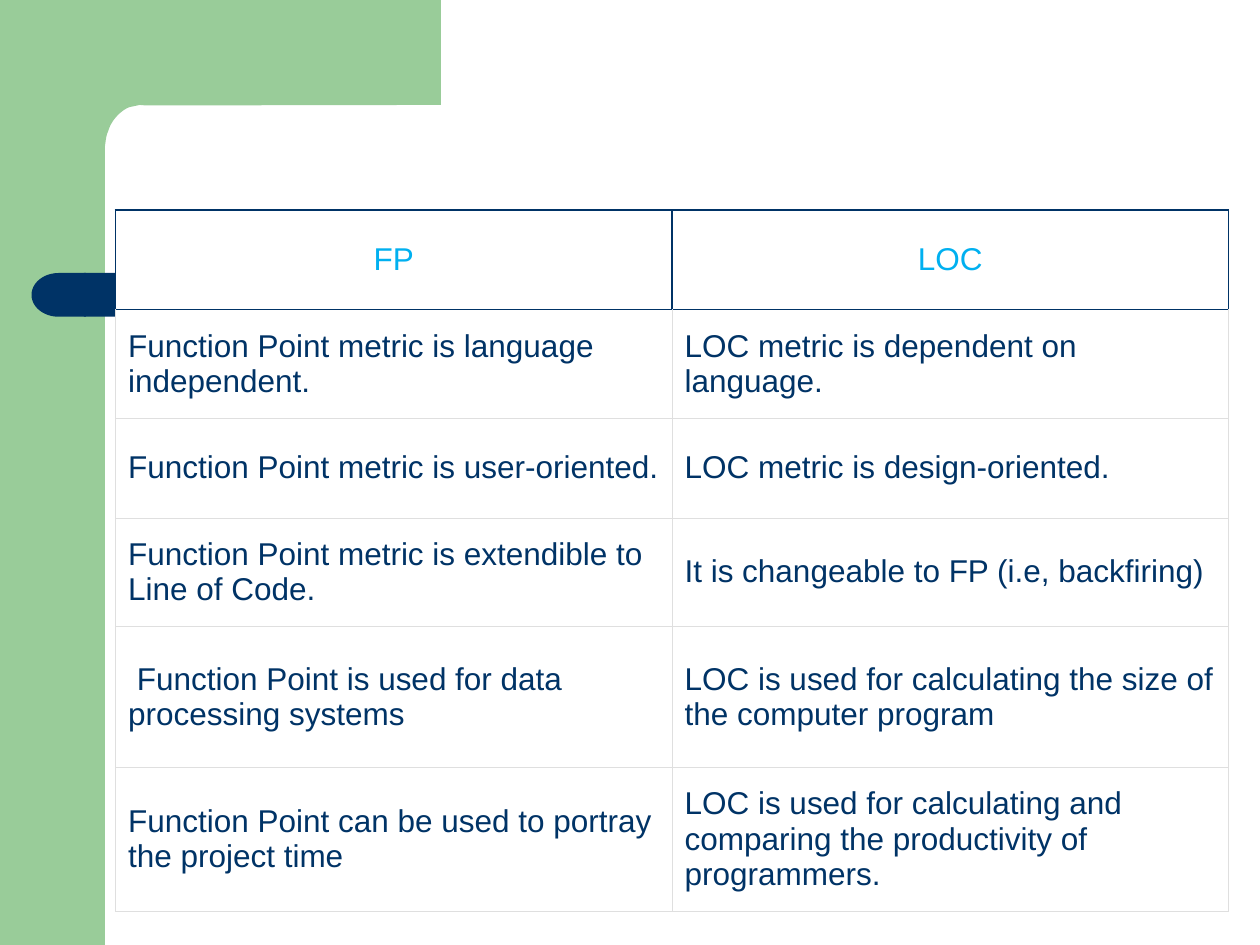
"""Build a slide comparing function points with lines of code in a table."""
from lxml.etree import SubElement
from pptx import Presentation
from pptx.dml.color import RGBColor as Rgb
from pptx.enum.shapes import MSO_SHAPE as Shape
from pptx.enum.text import MSO_ANCHOR as Anchor, PP_ALIGN as Align
from pptx.oxml.ns import qn
from pptx.util import Pt

COLORS = {"green": "99CC99", "navy": "003366", "sky": "00B0F0", "white": "FFFFFF", "grid": "DFDFDF"}
ROWS = [
    ("FP", "LOC"),
    ("Function Point metric is language independent.", "LOC metric is dependent on language."),
    ("Function Point metric is user-oriented.", "LOC metric is design-oriented."),
    ("Function Point metric is extendible to Line of Code.", "It is changeable to FP (i.e, backfiring)"),
    (" Function Point is used for data processing systems",
     "LOC is used for calculating the size of the computer program"),
    ("Function Point can be used to portray the project time",
     "LOC is used for calculating and comparing the productivity of programmers."),
]
ROW_HEIGHTS = [57, 57, 57, 57, 80.6, 80.6]
CELL_FORMAT = {"vertical_anchor": Anchor.MIDDLE, "margin_left": Pt(7.2), "margin_right": Pt(7.2),
               "margin_top": Pt(10.8), "margin_bottom": Pt(10.8)}


def paint(shape, color):
    shape.shadow.inherit = False
    shape.fill.solid()
    shape.fill.fore_color.rgb = Rgb.from_string(COLORS[color])
    shape.line.fill.background()


def add_border(cell, side, color, width):
    properties = cell._tc.get_or_add_tcPr()
    line = SubElement(properties, qn(f"a:ln{side}"), w=str(Pt(width)))
    fill = SubElement(line, qn("a:solidFill"))
    SubElement(fill, qn("a:srgbClr"), val=COLORS[color])


deck = Presentation()
deck.slide_width, deck.slide_height = Pt(720), Pt(540)
page = deck.slides.add_slide(deck.slide_layouts[6])

band = page.shapes.add_shape(Shape.RECTANGLE, 0, 0, Pt(60), Pt(540))
paint(band, "green")

curves = [
    [(74.2, 61.2), (72, 61.9), (69.1, 63.9), (67, 66.2)],
    [(67, 66.2), (64.8, 68.4), (62.6, 72), (61.9, 74.9)],
    [(61.9, 74.9), (60.5, 77.8), (60.5, 80.6), (60, 83.5)],
]
outline = [(252, 60), (83.5, 60.3), (79.9, 60), (74.2, 61.2)]
for curve in curves:
    for step in range(1, 9):
        t = step / 8
        weights = [(1 - t) ** 3, 3 * t * (1 - t) ** 2, 3 * t ** 2 * (1 - t), t ** 3]
        outline.append(tuple(sum(w * point[axis] for w, point in zip(weights, curve)) for axis in (0, 1)))
outline += [(60, 92), (36, 92), (36, 0)]
builder = page.shapes.build_freeform(25200, 0, scale=Pt(1) / 100)
builder.add_line_segments([(round(x * 100), round(y * 100)) for x, y in outline], close=True)
paint(builder.convert_to_shape(), "green")

bar = page.shapes.add_shape(Shape.ROUNDED_RECTANGLE, Pt(48), Pt(156), Pt(552), Pt(25))
bar.adjustments[0] = 0
paint(bar, "navy")
bar_end = page.shapes.add_shape(Shape.FLOWCHART_DELAY, Pt(18), Pt(156), Pt(31), Pt(25))
bar_end.rotation = 180
paint(bar_end, "navy")

table = page.shapes.add_table(len(ROWS), 2, Pt(66), Pt(120), Pt(636), Pt(sum(ROW_HEIGHTS))).table
table.first_row = table.horz_banding = False
for column in table.columns:
    column.width = Pt(318)
for row_index, (texts, height) in enumerate(zip(ROWS, ROW_HEIGHTS)):
    table.rows[row_index].height = Pt(height)
    header = row_index == 0
    for column_index, text in enumerate(texts):
        cell = table.cell(row_index, column_index)
        for name, value in CELL_FORMAT.items():
            setattr(cell, name, value)
        for side in "LRTB":
            strong = header or (row_index == 1 and side == "T")
            add_border(cell, side, *(("navy", 1) if strong else ("grid", 0.23)))
        cell.fill.solid()
        cell.fill.fore_color.rgb = Rgb.from_string(COLORS["white"])
        para = cell.text_frame.paragraphs[0]
        para.alignment = Align.CENTER if header else Align.LEFT
        span = para.add_run()
        span.text = text
        for name, value in {"name": "Arial", "size": Pt(18), "bold": False}.items():
            setattr(span.font, name, value)
        span.font.color.rgb = Rgb.from_string(COLORS["sky" if header else "navy"])

deck.save("out.pptx")
